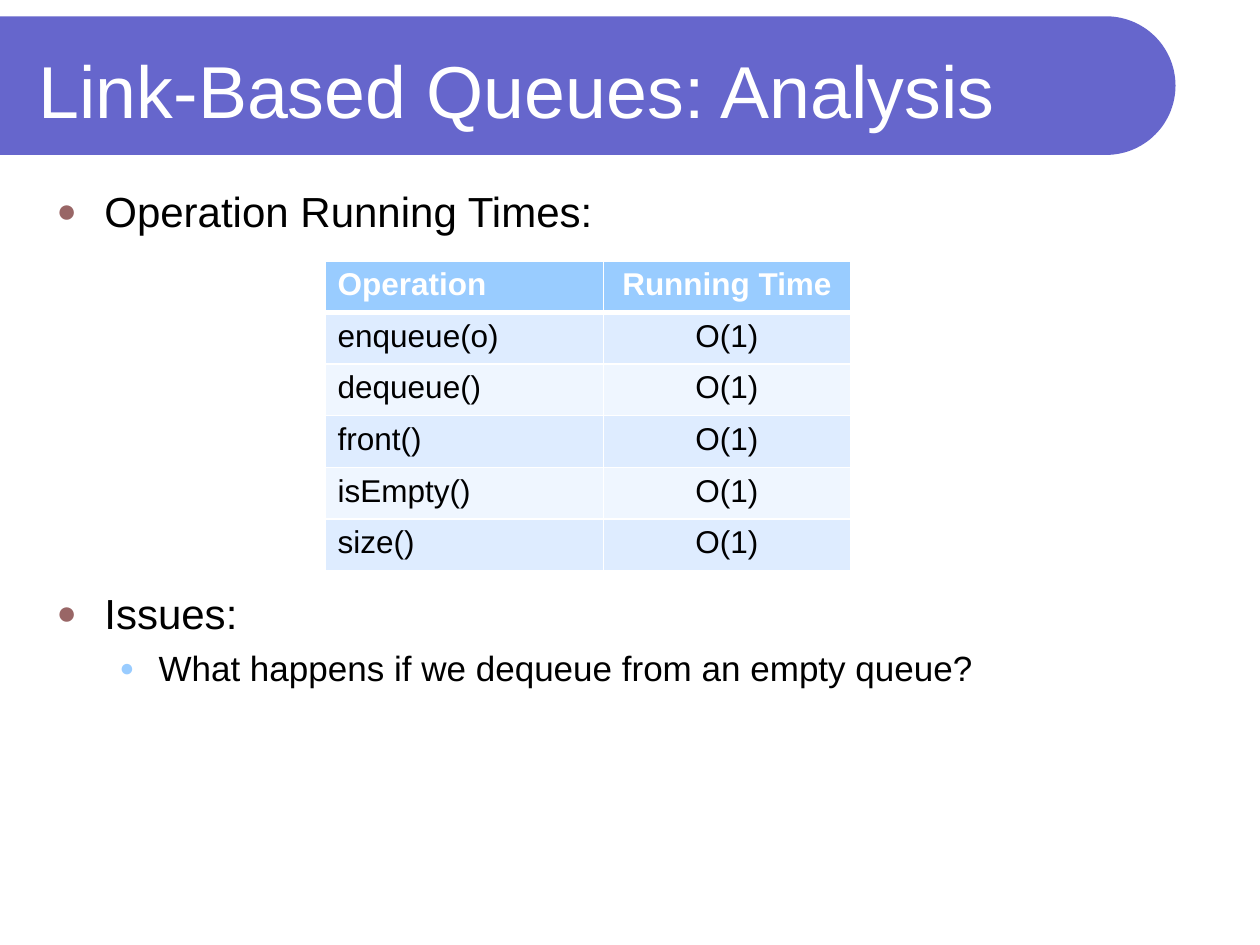
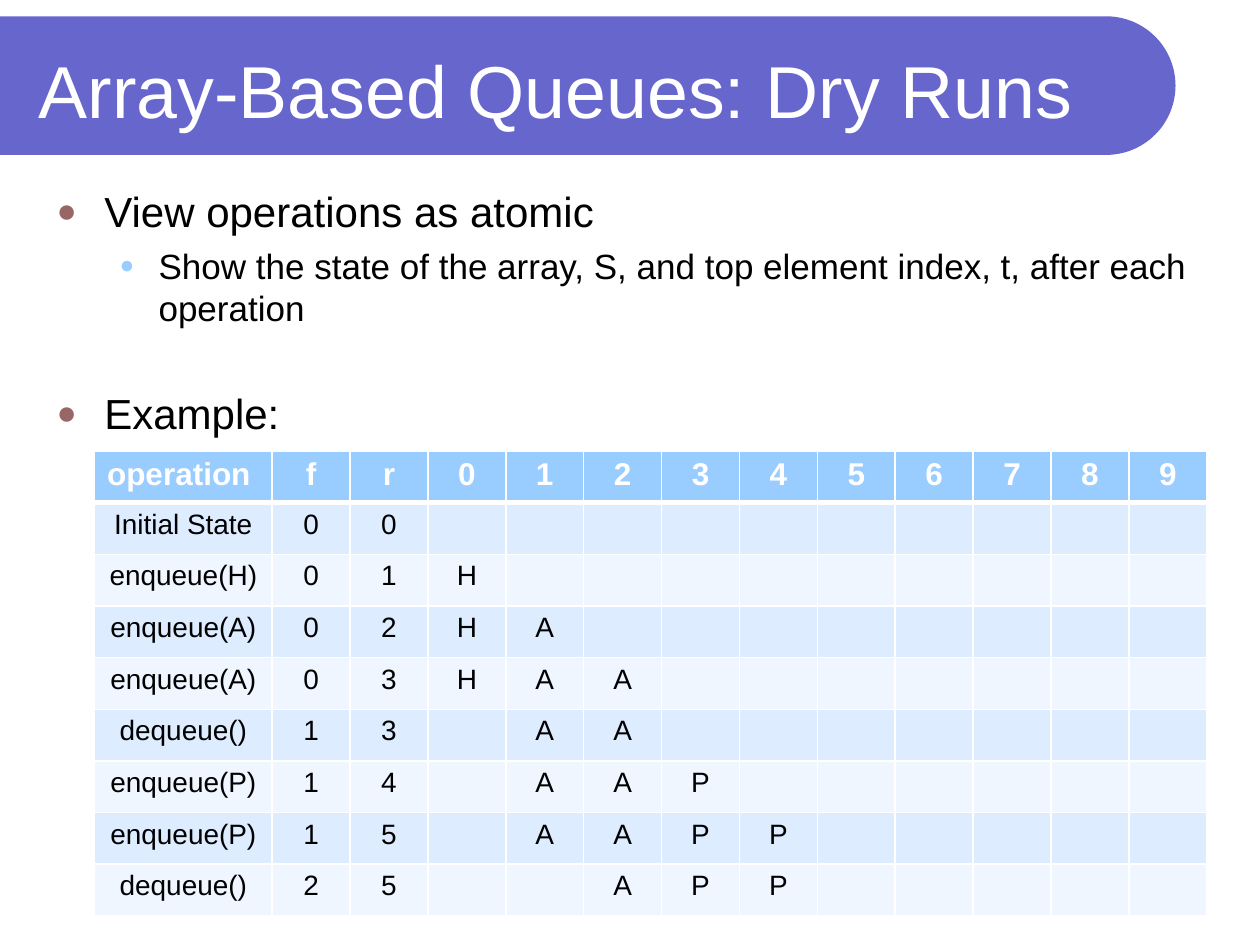
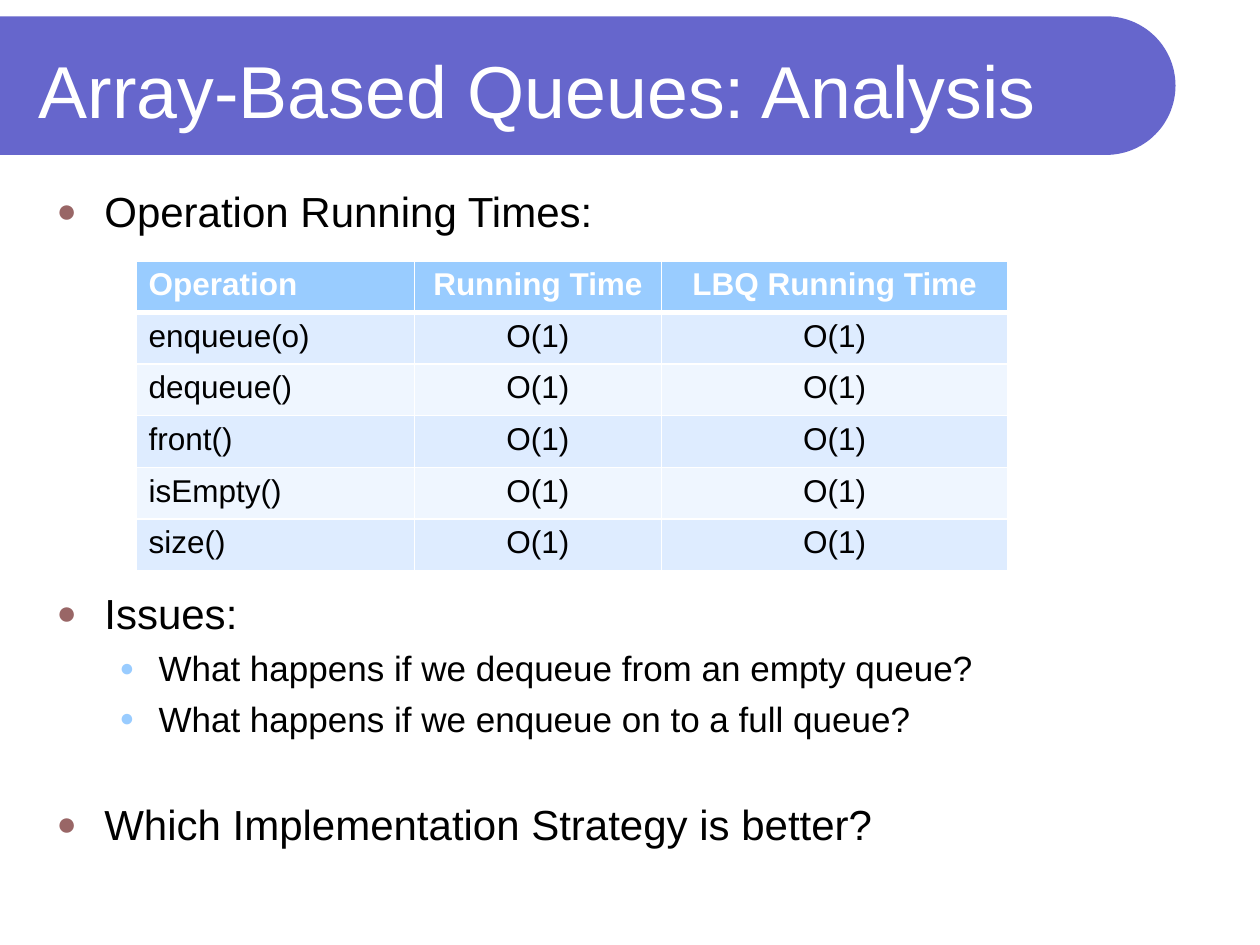
from math import cos, pi, sin

from lxml.etree import SubElement
from pptx import Presentation
from pptx.dml.color import RGBColor
from pptx.enum.text import MSO_ANCHOR, PP_ALIGN
from pptx.oxml.ns import qn
from pptx.util import Inches, Pt

FONT = "Arial"
WHITE, BLACK, BAND = "FFFFFF", "000000", "6666CC"
HEADER, ODD_ROW, EVEN_ROW = "99CCFF", "DEECFF", "EFF6FF"
ROW_HEIGHT = 0.41
LEVELS = [
    {"margin": 0.38, "hanging": 0.38, "size": 24, "bullet": "996666", "scale": 80},
    {"margin": 0.81, "hanging": 0.31, "size": 20, "bullet": "99CCFF", "scale": 70},
]


def color(value):
    return RGBColor.from_string(value)


def style(font, size, value, bold=False):
    font.name = FONT
    font.size = Pt(size)
    font.bold = bold
    font.color.rgb = color(value)


operations = ["enqueue(o)", "dequeue()", "front()", "isEmpty()", "size()"]
dry_run = [
    ("Initial State", 0, 0),
    ("enqueue(H)", 0, 1),
    ("enqueue(A)", 0, 2),
    ("enqueue(A)", 0, 3),
    ("dequeue()", 1, 3),
    ("enqueue(P)", 1, 4),
    ("enqueue(P)", 1, 5),
    ("dequeue()", 2, 5),
]
queued = "HAAPP"
array_size = 10
dry_run_rows = [
    [name, front, rear]
    + [queued[index] if front <= index < rear else "" for index in range(array_size)]
    for name, front, rear in dry_run
]

pages = [
    {
        "title": "Link-Based Queues: Analysis",
        "body": [
            (0, 0, "Operation Running Times:"),
            (0, 201, "Issues:"),
            (1, 5, "What happens if we dequeue from an empty queue?"),
        ],
        "place": (2.58, 2.07),
        "columns": [2.21, 1.96],
        "rows": [["Operation", "Running Time"]] + [[name, "O(1)"] for name in operations],
        "size": 18,
        "names": PP_ALIGN.LEFT,
    },
    {
        "title": "Array-Based Queues: Dry Runs",
        "body": [
            (0, 0, "View operations as atomic"),
            (1, 5, "Show the state of the array, S, and top element index, t, after each operation"),
            (0, 34, "Example:"),
        ],
        "place": (0.75, 3.58),
        "columns": [1.41] + [7.42 / 12] * 12,
        "rows": [["operation", "f", "r", *range(array_size)]] + dry_run_rows,
        "size": 16,
        "names": PP_ALIGN.CENTER,
    },
    {
        "title": "Array-Based Queues: Analysis",
        "body": [
            (0, 0, "Operation Running Times:"),
            (0, 201, "Issues:"),
            (1, 5, "What happens if we dequeue from an empty queue?"),
            (1, 5, "What happens if we enqueue on to a full queue?"),
            (0, 34, "Which Implementation Strategy is better?"),
        ],
        "place": (1.08, 2.07),
        "columns": [2.21, 1.96, 2.75],
        "rows": [["Operation", "Running Time", "LBQ Running Time"]]
        + [[name, "O(1)", "O(1)"] for name in operations],
        "size": 18,
        "names": PP_ALIGN.LEFT,
    },
]

deck = Presentation()
deck.slide_width = Inches(10)
deck.slide_height = Inches(7.5)

band_radius, band_center_x, band_center_y = 0.55, 8.78, 0.68
arc_steps = 60
arc = [
    (
        Inches(band_center_x + band_radius * sin(pi * step / arc_steps)),
        Inches(band_center_y - band_radius * cos(pi * step / arc_steps)),
    )
    for step in range(arc_steps + 1)
]
band_bottom = Inches(band_center_y + band_radius)

for page in pages:
    slide = deck.slides.add_slide(deck.slide_layouts[6])

    outline = slide.shapes.build_freeform(0, Inches(band_center_y - band_radius))
    outline.add_line_segments(arc + [(0, band_bottom)], close=True)
    band = outline.convert_to_shape()
    band.shadow.inherit = False
    band.fill.solid()
    band.fill.fore_color.rgb = color(BAND)
    band.line.fill.background()

    title = slide.shapes.add_textbox(Inches(0.21), Inches(0.21), Inches(8.77), Inches(1))
    title.text_frame.word_wrap = True
    title.text_frame.vertical_anchor = MSO_ANCHOR.MIDDLE
    title.text_frame.text = page["title"]
    style(title.text_frame.paragraphs[0].font, 42, WHITE)

    body = slide.shapes.add_textbox(Inches(0.35), Inches(1.39), Inches(9.29), Inches(5.75))
    frame = body.text_frame
    frame.word_wrap = True
    frame.margin_top = Inches(0.08)
    for number, (depth, gap, text) in enumerate(page["body"]):
        level = LEVELS[depth]
        para = frame.add_paragraph() if number else frame.paragraphs[0]
        para.text = text
        para.level = depth
        para.space_before = Pt(gap)
        properties = para._p.get_or_add_pPr()
        properties.set("marL", str(Inches(level["margin"])))
        properties.set("indent", str(-Inches(level["hanging"])))
        bullet_color = SubElement(properties, qn("a:buClr"))
        SubElement(bullet_color, qn("a:srgbClr"), val=level["bullet"])
        SubElement(properties, qn("a:buSzPct"), val=str(level["scale"] * 1000))
        SubElement(properties, qn("a:buFont"), typeface=FONT)
        SubElement(properties, qn("a:buChar"), char="●")
        style(para.font, level["size"], BLACK)

    rows, columns = page["rows"], page["columns"]
    left, top = page["place"]
    table = slide.shapes.add_table(
        len(rows), len(columns), Inches(left), Inches(top),
        Inches(sum(columns)), Inches(ROW_HEIGHT * len(rows)),
    ).table
    for column, width in zip(table.columns, columns):
        column.width = Inches(width)
    for row_index, values in enumerate(rows):
        table.rows[row_index].height = Inches(ROW_HEIGHT)
        is_header = row_index == 0
        row_fill = HEADER if is_header else ODD_ROW if row_index % 2 else EVEN_ROW
        borders = {"L": 1, "R": 1, "T": 3 if row_index == 1 else 1, "B": 3 if is_header else 1}
        for column_index, value in enumerate(values):
            cell = table.cell(row_index, column_index)
            cell.text = str(value)
            para = cell.text_frame.paragraphs[0]
            name_align = PP_ALIGN.LEFT if is_header else page["names"]
            para.alignment = PP_ALIGN.CENTER if column_index else name_align
            style(para.font, 18 if is_header else page["size"], WHITE if is_header else BLACK, is_header)
            cell_properties = cell._tc.get_or_add_tcPr()
            for side, weight in borders.items():
                border = SubElement(cell_properties, qn(f"a:ln{side}"), w=str(Pt(weight)))
                border_fill = SubElement(border, qn("a:solidFill"))
                SubElement(border_fill, qn("a:srgbClr"), val=WHITE)
            cell.fill.solid()
            cell.fill.fore_color.rgb = color(row_fill)

deck.save("out.pptx")
